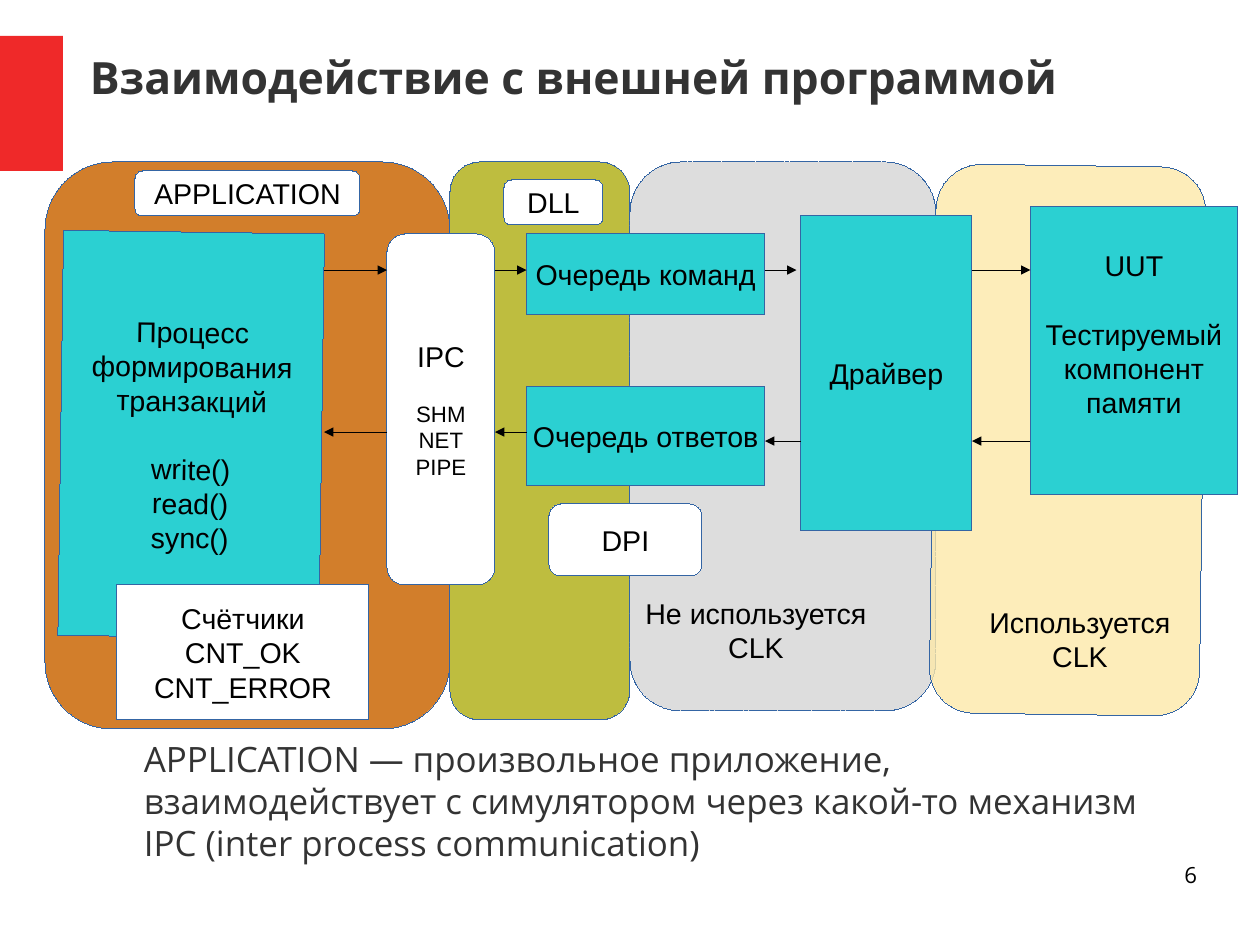
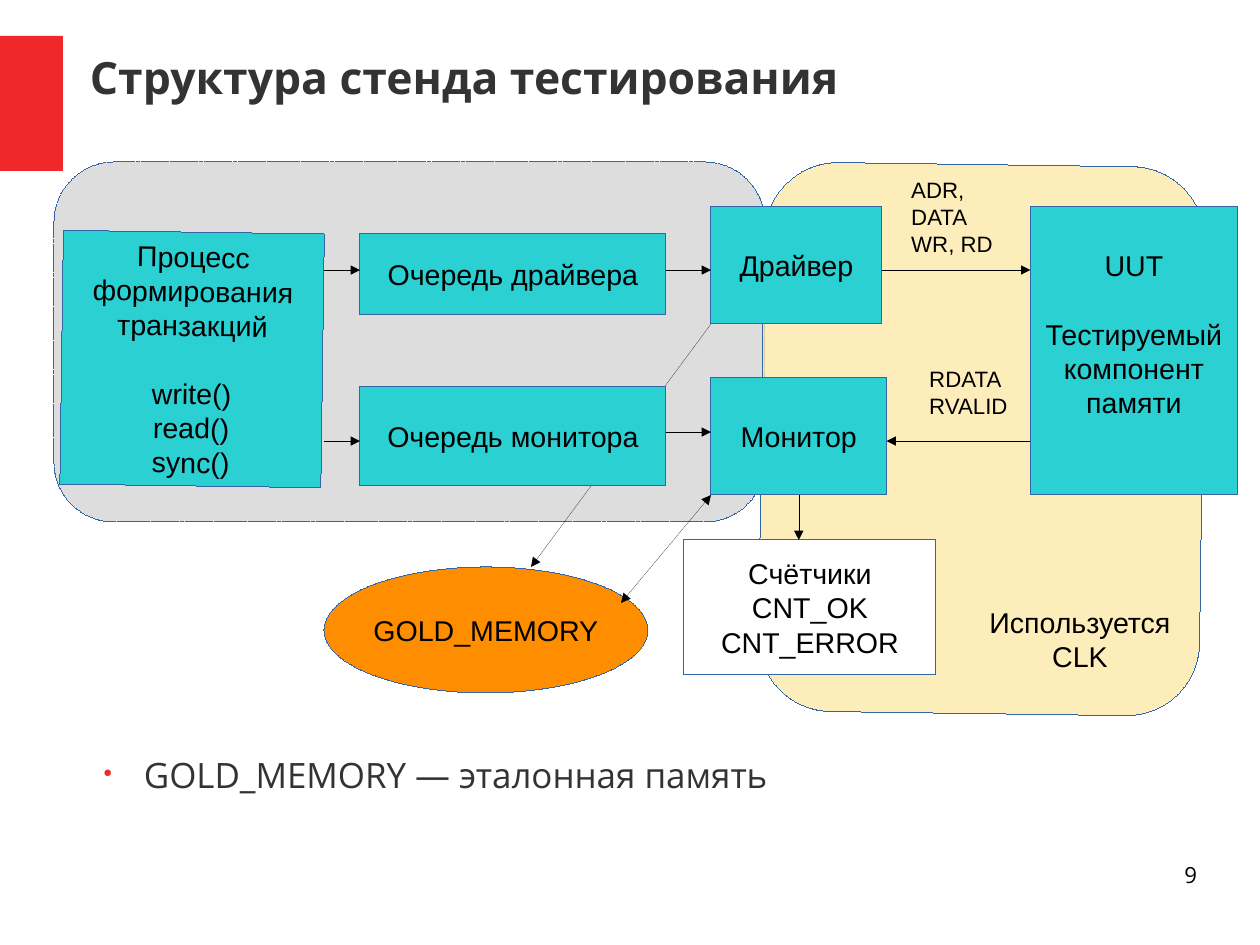
from dataclasses import dataclass

from lxml import etree
from pptx import Presentation
from pptx.dml.color import RGBColor
from pptx.enum import dml, shapes, text
from pptx.oxml.ns import qn
from pptx.util import Cm, Pt

RECT = shapes.MSO_SHAPE.RECTANGLE
ROUND = shapes.MSO_SHAPE.ROUNDED_RECTANGLE
OVAL = shapes.MSO_SHAPE.OVAL
CENTER, LEFT, RIGHT = text.PP_ALIGN.CENTER, text.PP_ALIGN.LEFT, text.PP_ALIGN.RIGHT
MIDDLE, TOP = text.MSO_ANCHOR.MIDDLE, text.MSO_ANCHOR.TOP


@dataclass(frozen=True)
class Theme:
    accent: str = "EF2929"
    heading: str = "333333"
    ink: str = "000000"
    outline: str = "3465A4"
    block: str = "2BD0D2"
    paper: str = "FFFFFF"
    app: str = "D27E2B"
    dll: str = "BEBD3F"
    unclocked: str = "DDDDDD"
    clocked: str = "FDE9A9"
    memory: str = "FF8D00"
    font: str = "Open Sans"
    diagram_font: str = "Arial"
    title_size: int = 28
    body_size: int = 22
    block_size: int = 18
    small_size: int = 14
    line_height: float = 1.19
    tilt: float = 0.8


T = Theme()
PROCESS = ("Процесс", "формирования", "транзакций", "", "write()", "read()", "sync()")
COUNTERS = ("Счётчики", "CNT_OK", "CNT_ERROR")
UUT = ("UUT", "", "Тестируемый", "компонент", "памяти")


def rgb(value):
    return RGBColor.from_string(value)


def sub(parent, tag, **attrs):
    return etree.SubElement(parent, qn(tag), attrs)


def hairline(sp, color):
    """Give a thinnest line; the zero width has to be stated in the XML."""
    sp.line.color.rgb = rgb(color)
    ln = sp._element.spPr.find(qn("a:ln"))
    ln.set("w", "0")
    return ln


def write(sp, lines, size, font=T.diagram_font, color=T.ink, bold=False,
          align=CENTER, anchor=MIDDLE, wrap=False, small_from=None):
    """Fill a shape with lines; an empty line becomes space before the next one."""
    tf = sp.text_frame
    tf.word_wrap = wrap
    tf.vertical_anchor = anchor
    tf.text = "\n".join(line for line in lines if line)
    shown = [i for i, line in enumerate(lines) if line]
    for p, i in zip(tf.paragraphs, shown):
        p.alignment = align
        is_small = small_from is not None and i >= small_from
        points = T.small_size if is_small else size
        if i and not lines[i - 1]:
            p.space_before = Pt(round(points * T.line_height, 1))
        for r in p.runs:
            r.font.size = Pt(points)
            r.font.name = font
            r.font.bold = bold
            r.font.color.rgb = rgb(color)
    return tf


def add_text(slide, box, lines, size, inset=False, **style):
    tb = slide.shapes.add_textbox(*map(Cm, box))
    tf = write(tb, lines, size, **style)
    if not inset:
        tf.margin_left = tf.margin_right = tf.margin_top = tf.margin_bottom = 0
    return tf


class Diagram:
    """Draws parts measured in cm from the top left corner of its box."""

    def __init__(self, slide, left, top):
        self.slide, self.left, self.top = slide, left, top

    def place(self, x, y):
        return self.left + x, self.top + y

    def shape(self, box, fill, lines=(), kind=RECT, tilt=0, **style):
        x, y, w, h = box
        sp = self.slide.shapes.add_shape(kind, *map(Cm, (*self.place(x, y), w, h)))
        sp.shadow.inherit = False
        sp.rotation = tilt
        sp.fill.solid()
        sp.fill.fore_color.rgb = rgb(fill)
        hairline(sp, T.outline)
        if lines:
            write(sp, lines, T.block_size, **style)
        return sp

    def block(self, box, *lines, **style):
        return self.shape(box, T.block, lines, **style)

    def tag(self, box, *lines, **style):
        return self.shape(box, T.paper, lines, kind=ROUND, **style)

    def unclocked_zone(self, box):
        sp = self.shape(box, T.unclocked, kind=ROUND)
        sp.line.dash_style = dml.MSO_LINE.SQUARE_DOT

    def clocked_zone(self, box):
        sp = self.shape(box, T.clocked, kind=ROUND, tilt=T.tilt)
        sub(sp._element.spPr.find(".//" + qn("a:srgbClr")), "a:alpha", val="80000")

    def process(self, box):
        self.block(box, *PROCESS, tilt=T.tilt)

    def uut(self, x, y):
        sp = self.block((x, y, 4.6, 6.4), *UUT)
        sp.text_frame.margin_bottom = Cm(0.89)

    def counters(self, x, y):
        self.shape((x, y, 5.6, 3), T.paper, COUNTERS)

    def clock_note(self, x, y, usage):
        self.label((x, y, 6, 2), usage, "CLK", size=T.block_size)

    def label(self, box, *lines, size=T.small_size, **style):
        x, y, w, h = box
        add_text(self.slide, (*self.place(x, y), w, h), lines, size, inset=True, **style)

    def arrow(self, x1, y1, x2, y2, both=False):
        ends = map(Cm, (*self.place(x1, y1), *self.place(x2, y2)))
        line = self.slide.shapes.add_connector(shapes.MSO_CONNECTOR.STRAIGHT, *ends)
        ln = hairline(line, T.ink)
        if both:
            sub(ln, "a:headEnd", type="triangle")
        sub(ln, "a:tailEnd", type="triangle")
        sub(line._element.spPr, "a:effectLst")
        return line


def add_frame(prs, title, number):
    """Start a slide with the red band, title and page number."""
    slide = prs.slides.add_slide(prs.slide_layouts[6])
    band = slide.shapes.add_shape(RECT, Cm(0), Cm(0.8), Cm(1.4), Cm(3))
    band.shadow.inherit = False
    band.fill.solid()
    band.fill.fore_color.rgb = rgb(T.accent)
    band.line.fill.background()
    add_text(slide, (2, 0.84, 24.6, 1.75), [title], T.title_size, font=T.font,
             color=T.heading, bold=True, align=LEFT, wrap=True)
    add_text(slide, (20.07, 19.13, 6.53, 1.45), [str(number)], T.small_size,
             font=T.font, align=RIGHT, anchor=TOP, wrap=True)
    return slide


def add_body(slide, box, line, bullet=False):
    tf = add_text(slide, box, [line], T.body_size, font=T.font, color=T.heading,
                  align=LEFT, anchor=TOP, wrap=True)
    pPr = tf.paragraphs[0]._p.get_or_add_pPr()
    pPr.set("marL", str(Cm(1.2)))
    pPr.set("indent", str(Cm(-0.9 if bullet else 0)))
    if bullet:
        sub(sub(pPr, "a:buClr"), "a:srgbClr", val=T.accent)
        sub(pPr, "a:buSzPct", val="32000")
        sub(pPr, "a:buChar", char="●")
    else:
        sub(pPr, "a:buNone")


def draw_ipc_diagram(slide, left, top):
    d = Diagram(slide, left, top)
    d.shape((0, 0, 9, 12.6), T.app, kind=ROUND)
    d.shape((9, 0, 4, 12.4), T.dll, kind=ROUND)
    d.unclocked_zone((13, 0, 6.8, 12.2))
    d.clocked_zone((19.73, 0.08, 6, 12.2))

    d.block((10.7, 1.6, 5.3, 1.8), "Очередь команд")
    d.block((10.7, 5, 5.3, 2.2), "Очередь ответов")
    d.block((16.8, 1.2, 3.8, 7), "Драйвер")
    d.uut(21.9, 1)
    d.process((0.35, 1.56, 5.8, 9))
    d.counters(1.6, 9.4)
    d.clock_note(20, 9.6, "Используется")
    d.clock_note(12.8, 9.4, "Не используется")

    d.tag((10.2, 0.4, 2.2, 1), "DLL")
    d.tag((11.2, 7.6, 3.4, 1.6), "DPI")
    d.tag((2, 0.2, 5, 1), "APPLICATION")
    d.tag((7.6, 1.6, 2.4, 7.8), "IPC", "", "SHM", "NET", "PIPE", small_from=1)

    for x1, x2 in ((6.2, 7.6), (10, 10.7), (16, 16.7), (20.6, 21.9)):
        d.arrow(x1, 2.4, x2, 2.4)
    for x1, x2, y in ((21.9, 20.6, 6.2), (16.8, 16, 6.2), (10.7, 10, 6), (7.6, 6.2, 6)):
        d.arrow(x1, y, x2, y)


def draw_bench_diagram(slide, left, top):
    d = Diagram(slide, left, top)
    d.unclocked_zone((0.2, 0, 15.8, 8))
    d.clocked_zone((15.92, 0.06, 9.8, 12.2))

    d.block((7, 1.6, 6.8, 1.8), "Очередь драйвера")
    d.block((14.8, 1, 3.8, 2.6), "Драйвер")
    d.uut(21.9, 1)
    monitor = d.block((14.8, 4.8, 3.9, 2.6), "Монитор")
    d.process((0.37, 1.56, 5.8, 5.64))
    d.label((19, 0.2, 2.6, 1.9), "ADR,", "DATA", "WR, RD", align=LEFT, anchor=TOP)
    d.label((19.4, 4.4, 2.6, 1.4), "RDATA", "RVALID", align=LEFT, anchor=TOP)
    d.counters(14.2, 8.4)
    d.clock_note(20, 9.6, "Используется")

    d.shape((6.2, 9, 7.2, 2.8), T.memory, ["GOLD_MEMORY"], kind=OVAL)
    d.arrow(14.8, 3.6, 10.8, 9)
    d.block((7, 5, 6.8, 2.2), "Очередь монитора")
    d.arrow(14.8, 7.4, 12.8, 9.8, both=True)

    for x1, x2, y in ((6.2, 7, 2.4), (13.8, 14.8, 2.4), (18.6, 21.9, 2.4),
                      (6.2, 7, 6.2), (13.8, 14.8, 6), (21.9, 18.7, 6.2)):
        d.arrow(x1, y, x2, y)
    d.arrow(16.75, 7.4, 16.75, 8.4).begin_connect(monitor, 2)


def main():
    prs = Presentation()
    prs.slide_width, prs.slide_height = Cm(28), Cm(21)

    slide = add_frame(prs, "Взаимодействие с внешней программой", 6)
    add_body(slide, (2, 16.4, 24, 3.9),
             "APPLICATION — произвольное приложение, взаимодействует с симулятором "
             "через какой-то механизм IPC (inter process communication)")
    draw_ipc_diagram(slide, 1, 3.6)

    slide = add_frame(prs, "Структура стенда тестирования", 9)
    add_body(slide, (2, 16.74, 24, 3.5), "GOLD_MEMORY — эталонная память", bullet=True)
    draw_bench_diagram(slide, 1, 3.6)

    prs.save("out.pptx")


if __name__ == "__main__":
    main()
